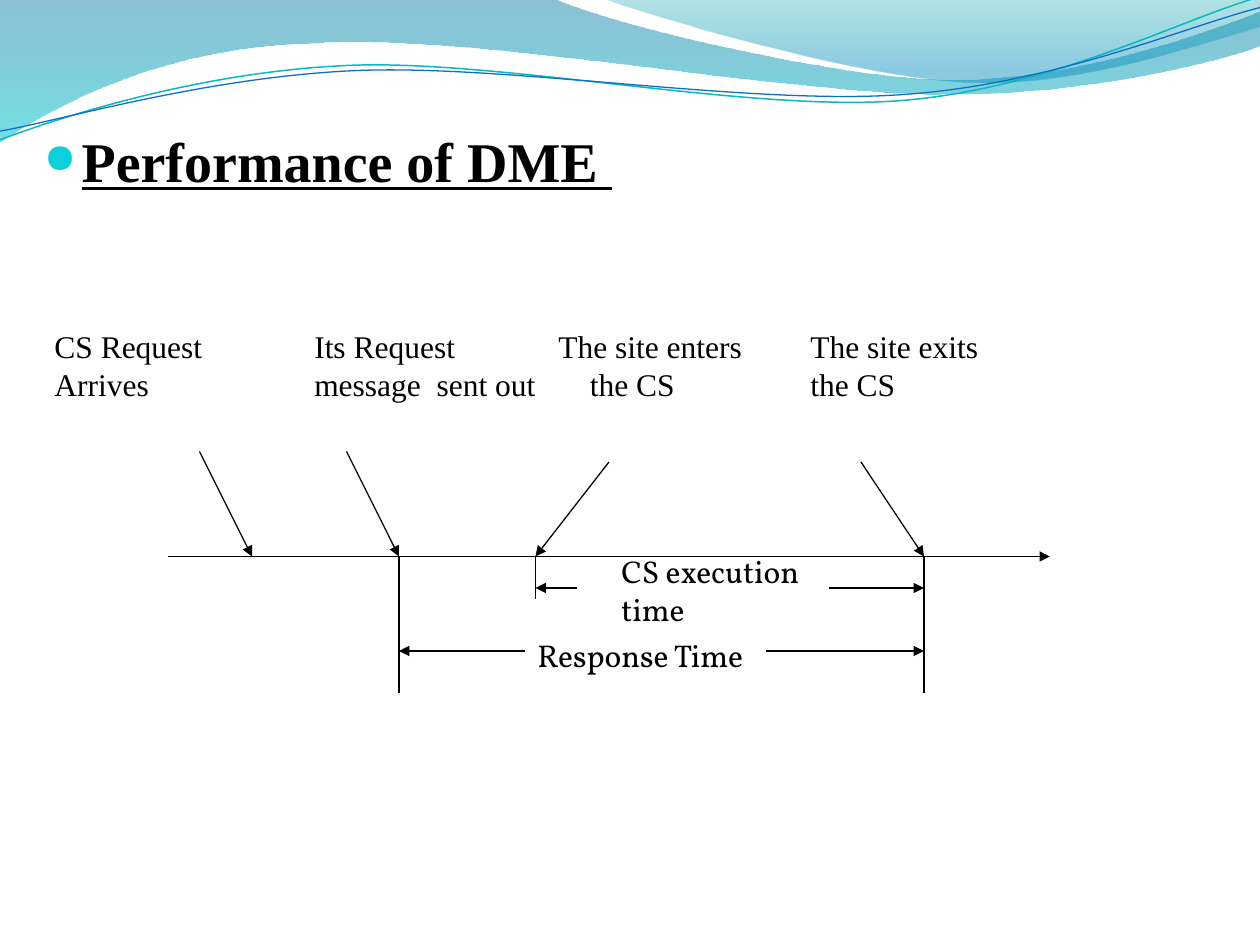
from lxml import etree
from pptx import Presentation
from pptx.dml.color import RGBColor
from pptx.enum.shapes import MSO_CONNECTOR
from pptx.oxml.ns import qn
from pptx.util import Pt

STRAIGHT = MSO_CONNECTOR.STRAIGHT
SERIF = "Times New Roman"
BODY = "Vollkorn"
BLACK = "000000"

SWELLS = [
    ([(0, 0), (316.8, -0.7),
      ((342.7, 12.2), (478.1, 45.4), (545.8, 45.4)),
      ((614.2, 45.4), (689.8, 18.7), (720, 6.5)),
      (720.7, 25.9),
      ((707.8, 31.7), (626.4, 54.7), (537.1, 54)),
      ((447.8, 54), (275, 20.2), (185, 24.5)),
      ((92.9, 25.9), (33.1, 59.8), (-0.7, 81.4)),
      (0, 0)],
     [(0, "0074A1", 45), (1, "00C6CF", 55)]),
    ([(344.9, -0.7),
      ((366.5, 7.9), (491, 44.6), (553.7, 46.8)),
      ((616.3, 49.7), (691.9, 23), (720, 15.1)),
      (720, 0),
      (344.9, -0.7)],
     [(0, "00A1A9", 30), (0.8, "008BBF", 45)]),
]
RIPPLES = [
    ([(0, 79.9),
      ((34.6, 67), (113.8, 41), (199.4, 37.4)),
      ((284.4, 33.8), (427, 64.1), (513.4, 57.6)),
      ((599.8, 51.1), (675.4, 10.8), (718.6, -1.4))], "0AB8BF", 0.85),
    ([(0, 74.9),
      ((33.8, 69.1), (118.1, 43.9), (203.8, 40.3)),
      ((290.2, 36.7), (429.8, 60.5), (516.2, 54)),
      ((601.9, 48.2), (677.5, 15.1), (720, 4.3))], "0F6FC6", 0.75),
]
EVENT_LINES = [
    ("CS Request\tIts Request\tThe site enters\tThe site exits", (148.5, 288, 432)),
    ("Arrives\tmessage  sent out\tthe CS\tthe CS", (148.5, 306, 432)),
]
AXIS_LENGTH = 504
EVENTS = [(18, -60, 48, 0), (102, -60, 132, 78), (252, -54, 210, 24), (396, -54, 432, 78)]
SPANS = [
    ("Response Time", 54, (132, 204), (342, 432), (204, 42, 150, 29)),
    ("CS execution time", 18, (210, 234), (378, 432), (252, -6, 138, 50)),
]


def color(hex_value):
    return RGBColor.from_string(hex_value)


def add_wave(shapes, left, top, steps, close):
    points = []
    for step in steps:
        points.extend([step] if len(step) == 2 else step)
    places = [(Pt(left + x), Pt(top + y)) for x, y in points]
    builder = shapes.build_freeform(*places[0], scale=1.0)
    builder.add_line_segments(places[1:], close=close)
    wave = builder.convert_to_shape()
    wave.shadow.inherit = False
    segments = iter(list(wave.element.iter(qn("a:lnTo"))))
    for step in steps[1:]:
        segment = next(segments)
        if len(step) == 3:
            segment.tag = qn("a:cubicBezTo")
            for _ in range(2):
                extra = next(segments)
                segment.append(extra[0])
                extra.getparent().remove(extra)
    return wave


def add_banner(shapes, left, top):
    for steps, stops in SWELLS:
        swell = add_wave(shapes, left, top, steps, True)
        swell.line.fill.background()
        swell.fill.gradient()
        swell.fill.gradient_angle = 270
        for stop, (position, hex_value, alpha) in zip(swell.fill.gradient_stops, stops):
            stop.position = position
            stop.color.rgb = color(hex_value)
        tints = list(swell.element.spPr.iter(qn("a:srgbClr")))
        for tint, (_, _, alpha) in zip(tints, stops):
            etree.SubElement(tint, qn("a:alpha")).set("val", str(alpha * 1000))
    for steps, hex_value, width in RIPPLES:
        ripple = add_wave(shapes, left, top, steps, False)
        ripple.fill.background()
        ripple.line.color.rgb = color(hex_value)
        ripple.line.width = Pt(width)


def add_text(shapes, left, top, width, height, lines, font, size, inset=3.6):
    box = shapes.add_textbox(Pt(left), Pt(top), Pt(width), Pt(height))
    frame = box.text_frame
    frame.text = "\n".join(lines)
    frame.word_wrap = True
    frame.margin_top = Pt(inset)
    for paragraph in frame.paragraphs:
        for run in paragraph.runs:
            run.font.name = font
            run.font.size = Pt(size)
            run.font.color.rgb = color(BLACK)
    return frame.paragraphs


def add_heading(shapes, left, top, width, height):
    heading = add_text(shapes, left, top, width, height, ["Performance of DME "], SERIF, 32, 48.5)[0]
    heading.runs[0].font.bold = True
    heading.runs[0].font.underline = True
    properties = heading._p.get_or_add_pPr()
    properties.set("marL", str(Pt(21.6)))
    properties.set("indent", str(Pt(-21.6)))
    bullet_color = etree.SubElement(properties, qn("a:buClr"))
    etree.SubElement(bullet_color, qn("a:srgbClr")).set("val", "0BD0D9")
    etree.SubElement(properties, qn("a:buSzPct")).set("val", "73000")
    etree.SubElement(properties, qn("a:buChar")).set("char", "●")


def add_event_labels(shapes, left, top, width, height):
    lines = [line for line, _ in EVENT_LINES]
    paragraphs = add_text(shapes, left, top, width, height, lines, SERIF, 18, 25)
    for paragraph, (_, stops) in zip(paragraphs, EVENT_LINES):
        tabs = etree.SubElement(paragraph._p.get_or_add_pPr(), qn("a:tabLst"))
        for stop in stops:
            tab = etree.SubElement(tabs, qn("a:tab"))
            tab.set("pos", str(Pt(stop)))
            tab.set("algn", "l")


def add_line(shapes, x1, y1, x2, y2, arrow=True):
    line = shapes.add_connector(STRAIGHT, Pt(x1), Pt(y1), Pt(x2), Pt(y2))
    line.line.color.rgb = color(BLACK)
    line.line.width = Pt(0.75)
    if arrow:
        etree.SubElement(line.line._get_or_add_ln(), qn("a:tailEnd")).set("type", "triangle")
    etree.SubElement(line._element.spPr, qn("a:effectLst"))


def add_timeline(shapes, left, axis):
    add_line(shapes, left, axis, left + AXIS_LENGTH, axis)
    for start, rise, moment, drop in EVENTS:
        add_line(shapes, left + start, axis + rise, left + moment, axis)
        if drop:
            add_line(shapes, left + moment, axis, left + moment, axis + drop, False)
    for name, depth, (begin, near), (far, end), (x, y, width, height) in SPANS:
        level = axis + depth
        add_line(shapes, left + near, level, left + begin, level)
        add_line(shapes, left + far, level, left + end, level)
        add_text(shapes, left + x, axis + y, width, height, [name], BODY, 18)


def main():
    deck = Presentation()
    deck.slide_width = Pt(720)
    deck.slide_height = Pt(540)
    shapes = deck.slides.add_slide(deck.slide_layouts[6]).shapes
    add_banner(shapes, 0, 0)
    add_heading(shapes, 18, 24, 684, 449)
    add_timeline(shapes.add_group_shape().shapes, 96, 318)
    add_event_labels(shapes, 24, 162, 666, 73)
    deck.save("out.pptx")


if __name__ == "__main__":
    main()
